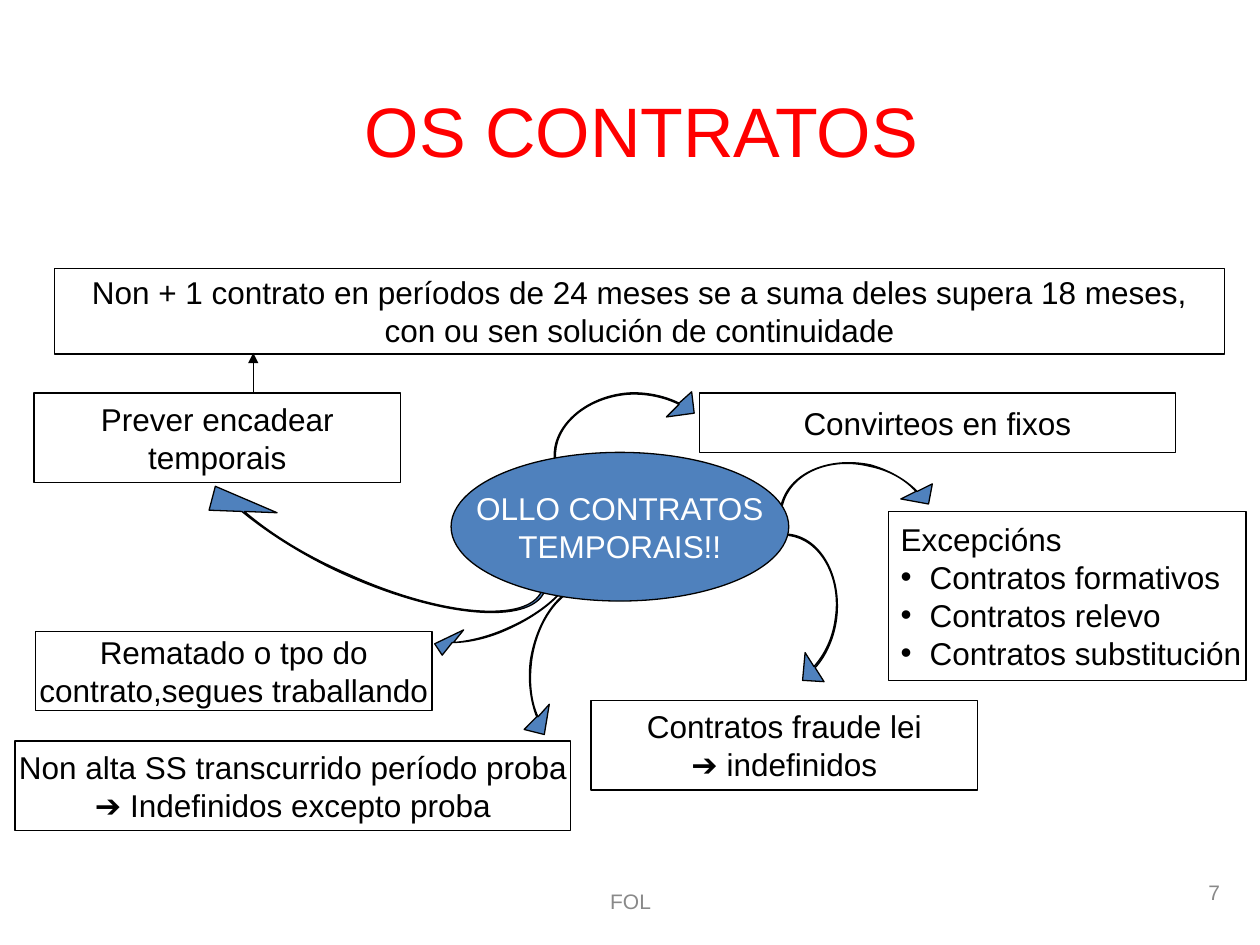
from lxml import etree
from pptx import Presentation
from pptx.dml.color import RGBColor
from pptx.enum.shapes import MSO_CONNECTOR as CONN, MSO_SHAPE as SHAPE
from pptx.enum.text import MSO_ANCHOR as ANCHOR, PP_ALIGN as ALIGN
from pptx.oxml.ns import qn
from pptx.util import Inches, Pt


def rgb(value):
    return RGBColor.from_string(value)


def add_text(sp, text, size=18, color="000000", align=ALIGN.CENTER, wrap=False, bullets=False):
    tf = sp.text_frame
    tf.word_wrap = wrap
    tf.vertical_anchor = ANCHOR.MIDDLE
    for i, line in enumerate(text.split("\n")):
        p = tf.add_paragraph() if i else tf.paragraphs[0]
        if bullets and i:
            pPr = p._p.get_or_add_pPr()
            pPr.set("marL", str(Inches(0.23)))
            pPr.set("indent", str(Inches(-0.23)))
            etree.SubElement(pPr, qn("a:buFont")).set("typeface", "Arial")
            etree.SubElement(pPr, qn("a:buChar")).set("char", "•")
        p.alignment = align
        r = p.add_run()
        r.text = line
        r.font.name = "Arial"
        r.font.size = Pt(size)
        r.font.color.rgb = rgb(color)


prs = Presentation()
prs.slide_width, prs.slide_height = Inches(10), Inches(7.5)
s = prs.slides.add_slide(prs.slide_layouts[6])

arrows = [
    ([(1.94, 4.06), (2.15, 4.24), (2.44, 4.42), (2.77, 4.56), (3.5, 4.89), (4.19, 4.95), (4.3, 4.69)],
     [(4.32, 4.7), (4.2, 4.96), (3.51, 4.9), (2.76, 4.57), (2.44, 4.43), (2.14, 4.24), (1.92, 4.06)],
     [(1.66, 4.05), (1.71, 3.86), (2.2, 4.07)]),
    ([(5.39, 3.21), (5.27, 3.15), (5.12, 3.12), (4.98, 3.13), (4.64, 3.16), (4.39, 3.39), (4.41, 3.64)],
     [(4.4, 3.64), (4.38, 3.39), (4.64, 3.15), (4.98, 3.12), (5.12, 3.11), (5.27, 3.14), (5.39, 3.2)],
     [(5.49, 3.11), (5.51, 3.28), (5.29, 3.31)]),
    ([(7.27, 3.9), (7.18, 3.8), (7.05, 3.73), (6.9, 3.7), (6.58, 3.62), (6.27, 3.76), (6.21, 4.01)],
     [(6.2, 4.01), (6.26, 3.76), (6.57, 3.62), (6.91, 3.69), (7.05, 3.73), (7.18, 3.8), (7.28, 3.9)],
     [(7.4, 3.84), (7.37, 4), (7.15, 3.96)]),
    ([(6.46, 5.29), (6.55, 5.19), (6.61, 5.06), (6.63, 4.91), (6.68, 4.58), (6.51, 4.28), (6.26, 4.25)],
     [(6.26, 4.24), (6.52, 4.27), (6.68, 4.58), (6.64, 4.91), (6.62, 5.06), (6.56, 5.2), (6.47, 5.3)],
     [(6.54, 5.41), (6.37, 5.4), (6.39, 5.18)]),
    ([(4.27, 5.69), (4.21, 5.56), (4.2, 5.4), (4.22, 5.24), (4.27, 4.88), (4.5, 4.61), (4.74, 4.65)],
     [(4.74, 4.64), (4.5, 4.6), (4.27, 4.87), (4.21, 5.24), (4.19, 5.4), (4.21, 5.56), (4.26, 5.69)],
     [(4.16, 5.79), (4.32, 5.83), (4.36, 5.59)]),
    ([(3.6, 5.1), (3.73, 5.09), (3.89, 5.05), (4.04, 4.98), (4.38, 4.83), (4.6, 4.59), (4.54, 4.44)],
     [(4.55, 4.43), (4.61, 4.58), (4.39, 4.83), (4.04, 4.99), (3.89, 5.06), (3.73, 5.1), (3.59, 5.1)],
     [(3.51, 5.2), (3.45, 5.11), (3.68, 5)]),
]
for outer, inner, head in arrows:
    points = [(Inches(x), Inches(y)) for x, y in outer + inner + head]
    fb = s.shapes.build_freeform(*points[0])
    fb.add_line_segments(points[1:], close=True)
    sp = fb.convert_to_shape()
    segments = list(sp._element.iter(qn("a:lnTo")))
    for k in (0, 3, 7, 10):
        curve = etree.Element(qn("a:cubicBezTo"))
        segments[k].addprevious(curve)
        for segment in segments[k:k + 3]:
            curve.append(segment[0])
            segment.getparent().remove(segment)
    sp.shadow.inherit = False
    sp.fill.solid()
    sp.fill.fore_color.rgb = rgb("4F81BD")
    sp.line.color.rgb = rgb("000000")
    sp.line.width = Pt(0.75)

ln = s.shapes.add_connector(CONN.STRAIGHT, Inches(2.01), Inches(3.12), Inches(2.01), Inches(2.8))
ln.line.color.rgb = rgb("000000")
ln.line.width = Pt(0.75)
etree.SubElement(ln.line._get_or_add_ln(), qn("a:tailEnd")).set("type", "triangle")
etree.SubElement(ln._element.spPr, qn("a:effectLst"))

boxes = [
    ("Rematado o tpo do\ncontrato,segues traballando", 0.28, 5.01, 3.15, 0.63, {}),
    ("Non + 1 contrato en períodos de 24 meses se a suma deles supera 18 meses,\n"
     "con ou sen solución de continuidade", 0.43, 2.13, 9.29, 0.68, {}),
    ("Convirteos en fixos", 5.55, 3.12, 3.78, 0.47, {}),
    ("Excepcións\nContratos formativos\nContratos relevo\nContratos substitución",
     7.05, 4.06, 2.84, 1.34, {"align": ALIGN.LEFT, "bullets": True}),
    ("Contratos fraude lei\n➔ indefinidos", 4.69, 5.56, 3.07, 0.71, {}),
    ("Non alta SS transcurrido período proba\n➔ Indefinidos excepto proba", 0.12, 5.88, 4.41, 0.71, {}),
    ("Prever encadear\ntemporais", 0.27, 3.12, 2.91, 0.71, {}),
    ("OLLO CONTRATOS\nTEMPORAIS!!", 3.58, 3.59, 2.68, 1.18, {"color": "FFFFFF"}),
]
for text, x, y, w, h, fmt in boxes:
    center = "color" in fmt
    sp = s.shapes.add_shape(SHAPE.OVAL if center else SHAPE.RECTANGLE,
                            Inches(x), Inches(y), Inches(w), Inches(h))
    sp.shadow.inherit = False
    if center:
        sp.fill.solid()
        sp.fill.fore_color.rgb = rgb("4F81BD")
    else:
        sp.fill.background()
    sp.line.color.rgb = rgb("000000")
    sp.line.width = Pt(0.75)
    add_text(sp, text, **fmt)

labels = [
    ("OS CONTRATOS", 0.83, 0.23, 8.52, 1.6, {"size": 40, "color": "FF0000"}),
    ("FOL", 3.42, 6.95, 3.17, 0.4, {"size": 12, "color": "898989"}),
    ("7", 7.7, 6.83, 2.08, 0.5, {"size": 12, "color": "898989", "align": ALIGN.RIGHT}),
]
for text, x, y, w, h, fmt in labels:
    sp = s.shapes.add_textbox(Inches(x), Inches(y), Inches(w), Inches(h))
    add_text(sp, text, wrap=True, **fmt)

prs.save("out.pptx")
